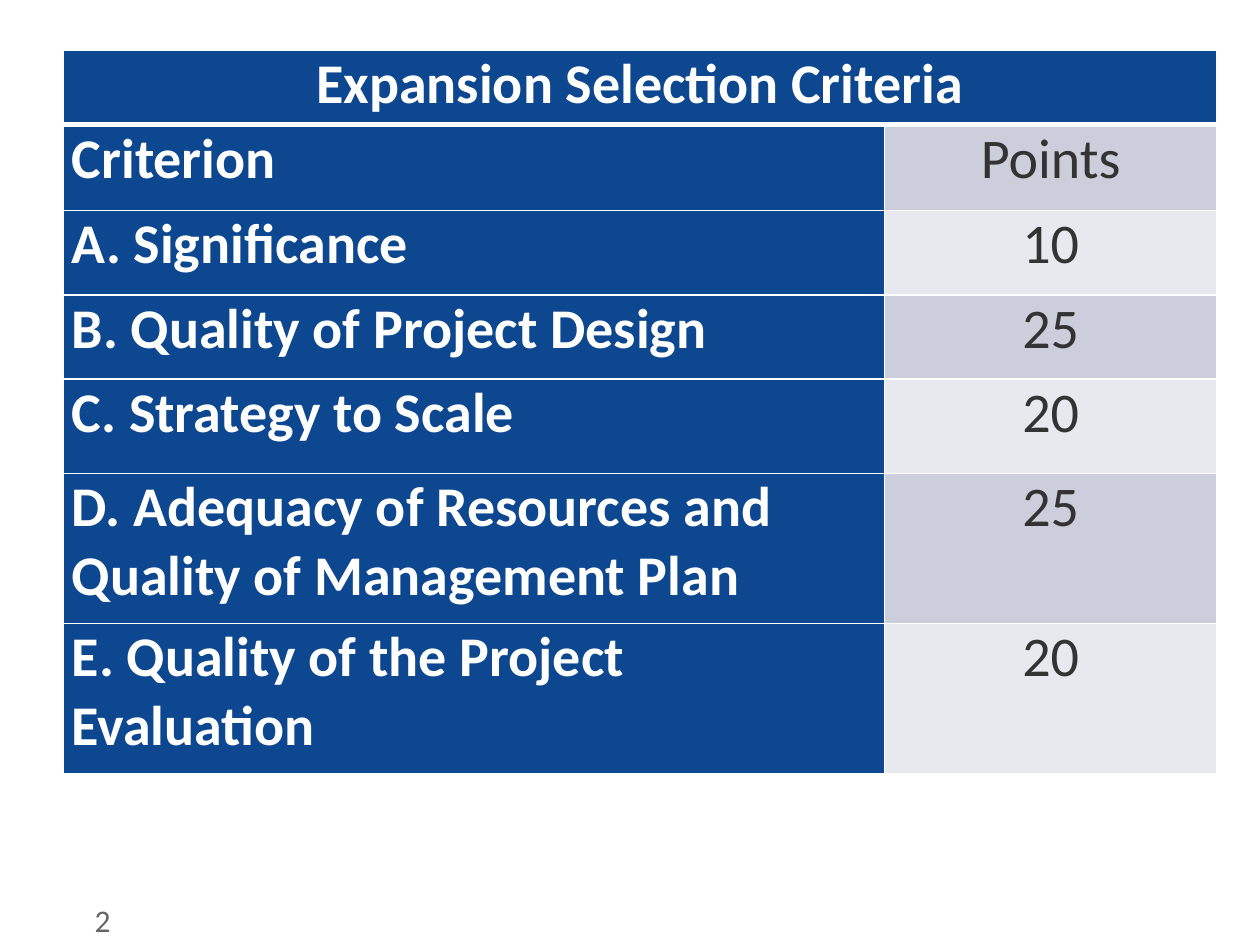
import pptx
import pptx.util
import pptx.dml.color
import pptx.enum.text
import pptx.oxml.ns
from lxml import etree

Inches = pptx.util.Inches
Pt = pptx.util.Pt
ALIGN = pptx.enum.text.PP_ALIGN
COLORS = {
    "navy": "0C4790",
    "band_dark": "CCCFDB",
    "band_light": "E7E9EE",
    "white": "FFFFFF",
    "ink": "333333",
    "page": "666666",
}
CRITERIA = [
    ("Criterion", "Points"),
    (" Significance", "10"),
    ("B. Quality of Project Design", "25"),
    ("C. Strategy to Scale", "20"),
    ("D. Adequacy of Resources and Quality of Management Plan", "25"),
    ("E. Quality of the Project Evaluation", "20"),
]
NUMBERED_ROW = 2
COLUMN_WIDTHS = [6.52, 2.64]
ROW_HEIGHTS = [0.59, 0.68, 0.67, 0.67, 0.75, 1.19, 1.19]


def rgb(name):
    """Return the named palette colour."""
    return pptx.dml.color.RGBColor.from_string(COLORS[name])


def style_text(paragraph, size, color, bold=False, align=ALIGN.LEFT):
    """Format every run of a paragraph."""
    paragraph.alignment = align
    for run in paragraph.runs:
        run.font.name = "Calibri"
        run.font.size = Pt(size)
        run.font.bold = bold
        run.font.color.rgb = rgb(color)


def set_borders(cell, top=1, bottom=1):
    """Draw white cell borders with the given top and bottom widths in points."""
    properties = cell._tc.get_or_add_tcPr()
    widths = {"lnL": 1, "lnR": 1, "lnT": top, "lnB": bottom}
    for position, (tag, width) in enumerate(widths.items()):
        border = etree.Element(pptx.oxml.ns.qn(f"a:{tag}"), w=str(Pt(width)))
        fill = etree.SubElement(border, pptx.oxml.ns.qn("a:solidFill"))
        etree.SubElement(fill, pptx.oxml.ns.qn("a:srgbClr"), val=COLORS["white"])
        properties.insert(position, border)


def fill_cell(cell, text, fill, color, bold, align):
    """Write and colour one table cell."""
    cell.margin_left = cell.margin_right = Inches(0.07)
    cell.margin_top = cell.margin_bottom = 0
    cell.fill.solid()
    cell.fill.fore_color.rgb = rgb(fill)
    cell.text_frame.text = text
    style_text(cell.text_frame.paragraphs[0], 32, color, bold, align)


def number_with_letter(paragraph):
    """Give a paragraph an automatic capital-letter number."""
    properties = paragraph._p.get_or_add_pPr()
    properties.set("marL", str(Inches(0.38)))
    properties.set("indent", str(-Inches(0.38)))
    etree.SubElement(properties, pptx.oxml.ns.qn("a:buAutoNum"), type="alphaUcPeriod")


def add_criteria_table(slide, left, top, width, height):
    """Place the selection criteria table in the given box."""
    criteria = slide.shapes.add_table(
        len(ROW_HEIGHTS), len(COLUMN_WIDTHS), left, top, width, height
    ).table
    for column, column_width in zip(criteria.columns, COLUMN_WIDTHS):
        column.width = Inches(column_width)
    for row, row_height in zip(criteria.rows, ROW_HEIGHTS):
        row.height = Inches(row_height)

    title = criteria.cell(0, 0)
    title.merge(criteria.cell(0, 1))
    fill_cell(title, "Expansion Selection Criteria", "navy", "white", True, ALIGN.CENTER)
    for cell in criteria.rows[0].cells:
        set_borders(cell, bottom=3)

    for row, (criterion, points) in enumerate(CRITERIA, start=1):
        band = "band_dark" if row % 2 else "band_light"
        fill_cell(criteria.cell(row, 0), criterion, "navy", "white", True, ALIGN.LEFT)
        fill_cell(criteria.cell(row, 1), points, band, "ink", False, ALIGN.CENTER)
        for cell in criteria.rows[row].cells:
            set_borders(cell, top=3 if row == 1 else 1)
    number_with_letter(criteria.cell(NUMBERED_ROW, 0).text_frame.paragraphs[0])


def add_page_number(slide, left, top, width, height):
    """Place the page number in the given box."""
    frame = slide.shapes.add_textbox(left, top, width, height).text_frame
    frame.word_wrap = True
    frame.margin_left = frame.margin_right = 0
    frame.vertical_anchor = pptx.enum.text.MSO_ANCHOR.MIDDLE
    frame.text = "2"
    style_text(frame.paragraphs[0], 18, "page")


def main():
    """Build and save the slide."""
    deck = pptx.Presentation()
    deck.slide_width, deck.slide_height = Inches(10), Inches(7.5)
    slide = deck.slides.add_slide(deck.slide_layouts[6])
    add_page_number(slide, Inches(0.75), Inches(7.1), Inches(0.58), Inches(0.4))
    add_criteria_table(slide, Inches(0.5), Inches(0.4), Inches(9.16), Inches(5.74))
    deck.save("out.pptx")


if __name__ == "__main__":
    main()
